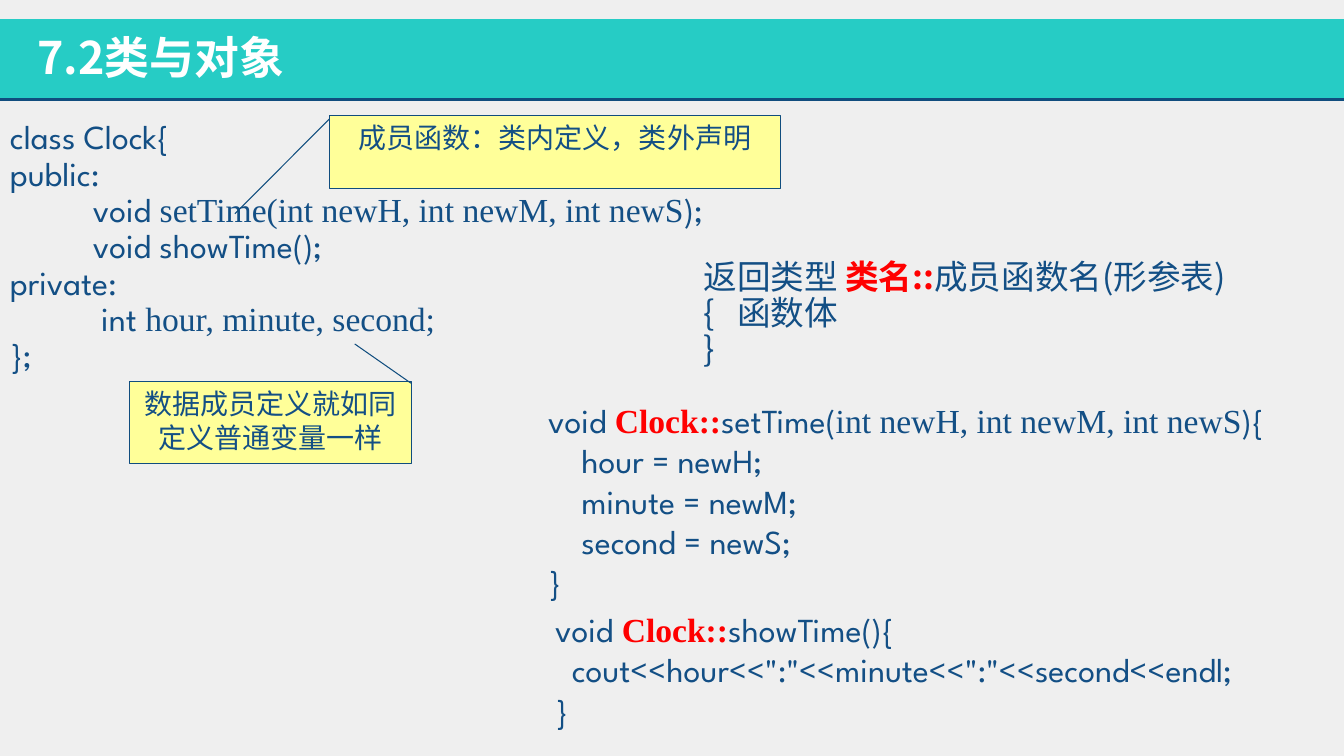
from lxml.etree import SubElement
from pptx import Presentation
from pptx.dml.color import RGBColor
from pptx.enum.shapes import MSO_CONNECTOR, MSO_SHAPE
from pptx.enum.text import MSO_ANCHOR, PP_ALIGN
from pptx.oxml.ns import qn
from pptx.util import Pt

WIDTH, HEIGHT = 960, 540
NAVY, BLUE, TEAL, RED = "104D7E", "134F85", "26CCC5", "FF0000"
YELLOW, WHITE, GREY = "FFFF99", "FFFFFF", "EFEFEF"
CODE, SERIF = "League Spartan", "Times New Roman"
HEADING, NOTE = "Noto Sans CJK JP", "Noto Sans CJK SC"


def color(value):
    return RGBColor.from_string(value)


def write(frame, lines, size, spacing=1.0, align=PP_ALIGN.LEFT):
    frame.word_wrap = True
    frame.vertical_anchor = MSO_ANCHOR.TOP
    for index, line in enumerate(lines):
        para = frame.paragraphs[0] if index == 0 else frame.add_paragraph()
        para.alignment = align
        para.line_spacing = spacing
        for text, face, shade, bold in line:
            span = para.add_run()
            span.text = text
            span.font.size = Pt(size)
            span.font.name = face
            span.font.bold = bold
            span.font.color.rgb = color(shade)
            SubElement(span.font._element, qn("a:ea")).set("typeface", face)


def code(text):
    return text, CODE, BLUE, False


def serif(text):
    return text, SERIF, BLUE, False


def scope(text, face=SERIF):
    return text, face, RED, True


def prose(text):
    return text, HEADING, BLUE, False


def add_text(page, box, lines, size=24, spacing=1.0):
    frame = page.shapes.add_textbox(*map(Pt, box)).text_frame
    write(frame, lines, size, spacing)


def add_title(page, box, text):
    left, top, width, height = box
    band = page.shapes.add_shape(MSO_SHAPE.RECTANGLE, *map(Pt, box))
    band.shadow.inherit = False
    band.fill.solid()
    band.fill.fore_color.rgb = color(TEAL)
    band.line.fill.background()
    bottom = top + height
    rule = page.shapes.add_connector(
        MSO_CONNECTOR.STRAIGHT, *map(Pt, (left, bottom, left + width, bottom)))
    rule.line.color.rgb = color(NAVY)
    rule.line.width = Pt(2)
    SubElement(rule.element.spPr, qn("a:effectLst"))
    add_text(page, (left + 19.5, top + 4.3, 632, 46),
             [[(text, HEADING, WHITE, True)]], size=32)


def add_callout(page, box, pointer, text):
    callout = page.shapes.add_shape(MSO_SHAPE.LINE_CALLOUT_1, *map(Pt, box))
    for index, value in enumerate(pointer):
        callout.adjustments[index] = value
    callout.shadow.inherit = False
    callout.fill.solid()
    callout.fill.fore_color.rgb = color(YELLOW)
    callout.line.color.rgb = color(NAVY)
    callout.line.width = Pt(0.75)
    write(callout.text_frame, [[(text, NOTE, BLUE, False)]], 20,
          align=PP_ALIGN.CENTER)


def main():
    deck = Presentation()
    deck.slide_width, deck.slide_height = Pt(WIDTH), Pt(HEIGHT)
    page = deck.slides.add_slide(deck.slide_layouts[6])
    page.background.fill.solid()
    page.background.fill.fore_color.rgb = color(GREY)

    add_title(page, (0, 13.7, WIDTH, 57.6), "7.2类与对象")
    parameters = serif("int newH, int newM, int newS")
    add_text(page, (0, 82.8, 569, 190), [
        [code("class Clock{")],
        [code("public:")],
        [code("          void "), serif("setTime("), parameters, code(");")],
        [code("          void showTime();")],
        [code("private:")],
        [code("           int "), serif("hour, minute, second;")],
        [code("};")],
    ], spacing=0.9)
    add_callout(page, (92.6, 272.6, 201, 58.5), (0.02, 1, -0.46, 0.8),
                "数据成员定义就如同定义普通变量一样")
    add_text(page, (384.5, 282.2, 552, 152.6), [
        [code("void "), scope("Clock::"), code("setTime("), parameters, code("){")],
        [code("    hour = newH;")],
        [code("    minute = newM;")],
        [code("    second = newS;")],
        [code("}")],
    ])
    add_text(page, (389.5, 431.3, 570, 94.3), [
        [code("void "), scope("Clock::"), code("showTime(){")],
        [code('  cout<<hour<<":"<<minute<<":"<<second<<endl;')],
        [code("}")],
    ])
    add_text(page, (495.4, 182.2, 442, 86.4), [
        [prose("返回类型 "), scope("类名::", HEADING), prose("成员函数名(形参表)")],
        [prose("{   函数体")],
        [prose("}")],
    ], spacing=0.9)
    add_callout(page, (235.4, 82.8, 322, 51.8), (0.04, 0, 1.35, -0.21),
                "成员函数：类内定义，类外声明")
    deck.save("out.pptx")


if __name__ == "__main__":
    main()
